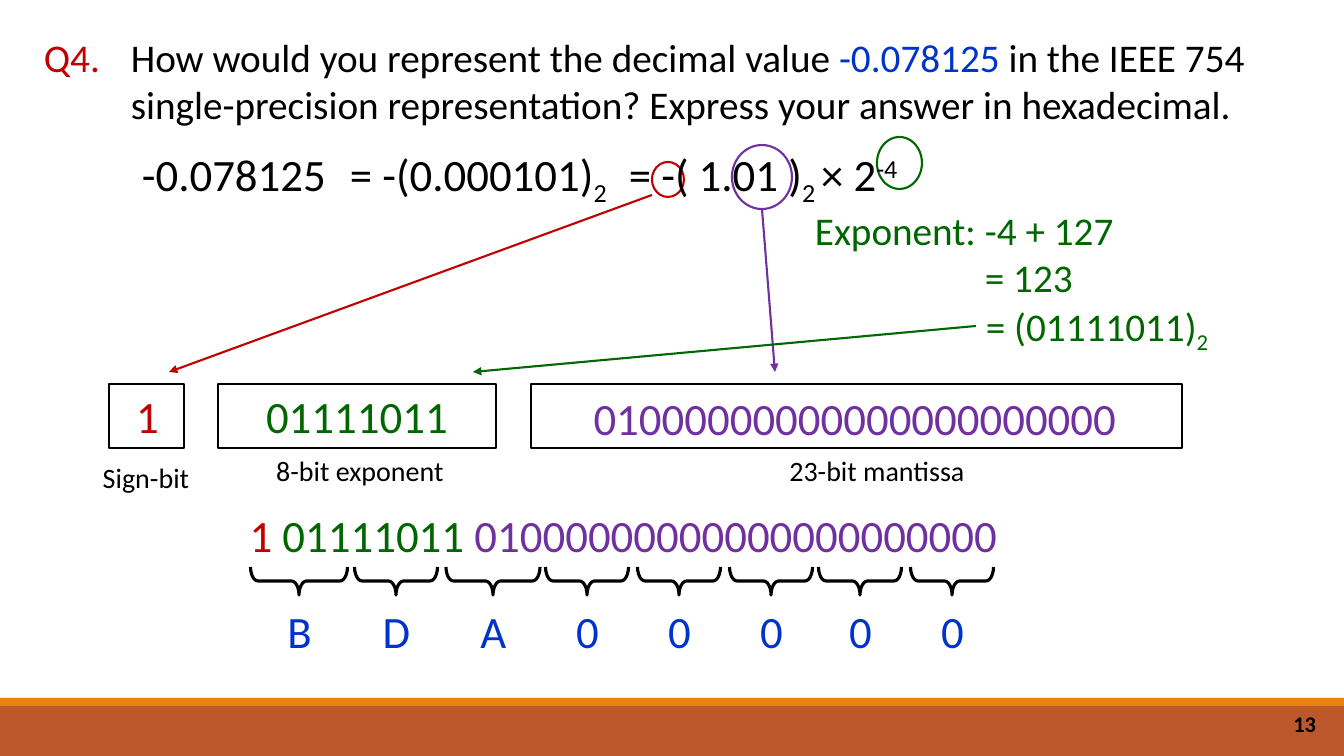
"""Build the slide that encodes -0.078125 in IEEE 754 single precision."""
from lxml.etree import SubElement
from pptx import Presentation
from pptx.dml.color import RGBColor
from pptx.enum.shapes import MSO_CONNECTOR, MSO_SHAPE as SHAPE
from pptx.enum.text import MSO_ANCHOR, PP_ALIGN as ALIGN
from pptx.oxml.ns import qn
from pptx.util import Emu, Pt

SCALE = 914400 / 100.8
BLACK, RED, GREEN, PURPLE, BLUE = "000000", "C00000", "006600", "7030A0", "0033CC"
LEFT, CENTER, RIGHT = ALIGN.LEFT, ALIGN.CENTER, ALIGN.RIGHT
EXPONENT, MANTISSA = "01111011", "01" + "0" * 21


def px(*lengths):
    return [Emu(round(length * SCALE)) for length in lengths]


def rgb(value):
    return RGBColor.from_string(value)


deck = Presentation()
deck.slide_width, deck.slide_height = px(1344, 756)
page = deck.slides.add_slide(deck.slide_layouts[6])

for top, height, color in [(706, 50, "BD582C"), (698, 8, "E48312")]:
    band = page.shapes.add_shape(SHAPE.RECTANGLE, *px(0, top, 1344, height))
    band.shadow.inherit = False
    band.fill.solid()
    band.fill.fore_color.rgb = rgb(color)
    band.line.fill.background()

outlines = [
    (SHAPE.RECTANGLE, 109, 384, 75, 64, BLACK),
    (SHAPE.RECTANGLE, 218, 384, 278, 64, BLACK),
    (SHAPE.RECTANGLE, 531, 384, 651, 64, BLACK),
    (SHAPE.OVAL, 652, 162, 32, 35, RED),
    (SHAPE.OVAL, 732, 145, 60, 64, PURPLE),
    (SHAPE.OVAL, 877, 137, 45, 52, GREEN),
]
for kind, left, top, width, height, color in outlines:
    outline = page.shapes.add_shape(kind, *px(left, top, width, height))
    outline.shadow.inherit = False
    outline.fill.background()
    outline.line.color.rgb = rgb(color)
    outline.line.width = Pt(1.5)

arrows = [
    (652, 195, 169, 372, RED),
    (762, 209, 775, 372, PURPLE),
    (976, 326, 473, 372, GREEN),
]
for *ends, color in arrows:
    arrow = page.shapes.add_connector(MSO_CONNECTOR.STRAIGHT, *px(*ends))
    arrow.line.color.rgb = rgb(color)
    arrow.line.width = Pt(1.5)
    SubElement(arrow.line._get_or_add_ln(), qn("a:tailEnd"), type="triangle")
    SubElement(arrow._element.spPr, qn("a:effectLst"))

texts = [
    (22, 28, 100, 57, 28, CENTER, [("Q4.", RED, 0)]),
    (121, 28, 1202, 105, 28, LEFT, [
        ("How would you represent the decimal value ", BLACK, 0),
        ("-0.078125", BLUE, 0),
        (" in the IEEE 754 single-precision representation? "
         "Express your answer in hexadecimal.", BLACK, 0)]),
    (132, 142, 262, 64, 32, LEFT, [("-0.078125", BLACK, 0)]),
    (340, 142, 312, 64, 32, LEFT, [("= -(0.000101)", BLACK, 0), ("2", BLACK, -25)]),
    (619, 142, 312, 64, 32, LEFT, [
        ("= -( 1.01 )", BLACK, 0), ("2 ", BLACK, -25),
        ("× 2", BLACK, 0), ("-4", BLACK, 30)]),
    (805, 201, 375, 57, 28, LEFT, [("Exponent: -4 + 127", GREEN, 0)]),
    (975, 248, 119, 57, 28, LEFT, [("= 123", GREEN, 0)]),
    (976, 297, 257, 57, 28, LEFT, [(f"= ({EXPONENT})", GREEN, 0), ("2", GREEN, -25)]),
    (110, 384, 75, 64, 32, CENTER, [("1", RED, 0)]),
    (240, 384, 234, 64, 32, CENTER, [(EXPONENT, GREEN, 0)]),
    (555, 386, 600, 64, 32, CENTER, [(MANTISSA, PURPLE, 0)]),
    (91, 456, 110, 44, 20, CENTER, [("Sign-bit", BLACK, 0)]),
    (263, 449, 194, 44, 20, CENTER, [("8-bit exponent", BLACK, 0)]),
    (746, 449, 262, 44, 20, CENTER, [("23-bit mantissa", BLACK, 0)]),
    (201, 503, 845, 64, 32, CENTER, [
        ("1 ", RED, 0), (EXPONENT, GREEN, 0), (" " + MANTISSA, PURPLE, 0)]),
    (1024, 704, 302, 40, 16, RIGHT, [("13", BLACK, 0)]),
]

nibbles = [("B", 299, 97), ("D", 396, 83), ("A", 493, 94)]
nibbles += [("0", center, 83) for center in (587, 679, 771, 860, 952)]
for digit, center, span_width in nibbles:
    brace = page.shapes.add_shape(
        SHAPE.RIGHT_BRACE, *px(center - 14, 581 - span_width / 2, 28, span_width))
    brace.rotation = 90
    brace.adjustments[0] = 0.27
    brace.shadow.inherit = False
    brace.fill.background()
    brace.line.color.rgb = rgb(BLACK)
    brace.line.width = Pt(2.25)
    texts.append((center - 37, 599, 75, 64, 32, CENTER, [(digit, BLUE, 0)]))

for left, top, width, height, size, align, spans in texts:
    box = page.shapes.add_textbox(*px(left, top, width, height))
    box.text_frame.word_wrap = True
    if align == RIGHT:
        box.text_frame.vertical_anchor = MSO_ANCHOR.MIDDLE
    para = box.text_frame.paragraphs[0]
    para.alignment = align
    for words, color, baseline in spans:
        span = para.add_run()
        span.text = words
        span.font.name = "Calibri"
        span.font.size = Pt(size)
        span.font.bold = align == RIGHT
        span.font.color.rgb = rgb(color)
        if baseline:
            span.font._element.set("baseline", str(baseline * 1000))

deck.save("out.pptx")
